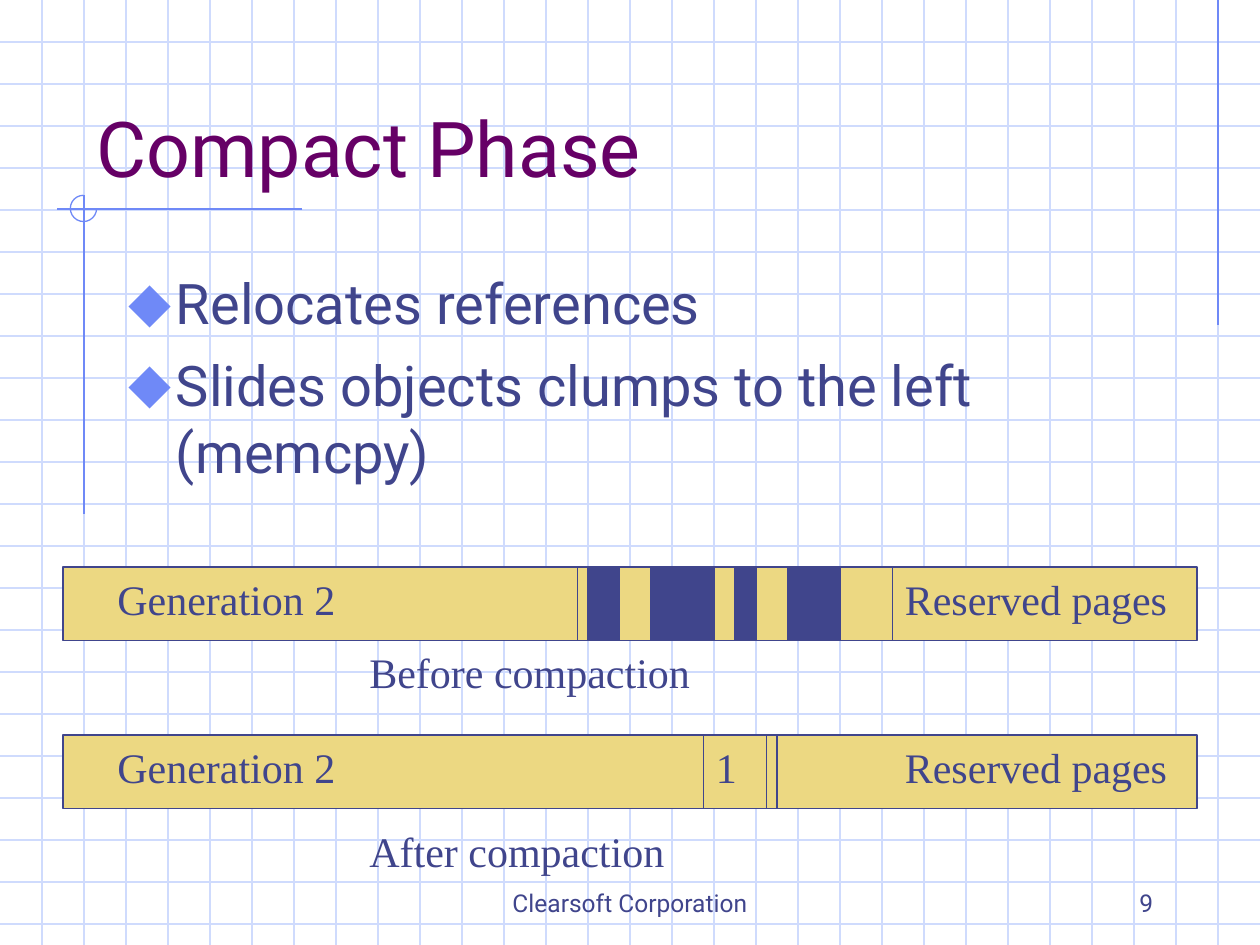
from lxml import etree
from pptx import Presentation, util as u
from pptx.dml.color import RGBColor
from pptx.enum import shapes, text
from pptx.oxml.ns import qn

PALE = RGBColor(0xCF, 0xDB, 0xFD)
BLUE = RGBColor(0x6F, 0x89, 0xF7)
NAVY = RGBColor(0x40, 0x45, 0x8C)
PLUM = RGBColor(0x66, 0x00, 0x66)
SAND = RGBColor(0xEC, 0xD8, 0x82)
SANS, SERIF = "Roboto", "Times New Roman"

COLS, ROWS, GRID_STEP = 120, 90, 4
CELL = u.Inches(10) // COLS

TITLE = "Compact Phase"
POINTS = ["Relocates references", "Slides objects clumps to the left (memcpy)"]
ACCENTS = [(116, 0, 116, 31), (28.8, 19.9, 5.4, 19.9), (8, 18.6, 8, 49)]
BAR_LEFT, BAR_WIDTH, BAR_HEIGHT = 6, 108, 7
LABEL_HEIGHT = 6
HEAPS = [
    {
        "top": 54,
        "dividers": [55, 85],
        "live": [(56, 3), (62, 6), (70, 2), (75, 5)],
        "labels": [("Generation 2", 10, 31), ("Reserved pages", 85, 29)],
        "caption": ("Before compaction", 61),
    },
    {
        "top": 70,
        "dividers": [67, 73, 74],
        "live": [],
        "labels": [("Generation 2", 10, 31), ("Reserved pages", 85, 29), ("1", 67, 6)],
        "caption": ("After compaction", 78),
    },
]
FOOTER = [
    ("Clearsoft Corporation", 41, 38, text.PP_ALIGN.CENTER),
    ("9", 86, 25, text.PP_ALIGN.RIGHT),
]


def cells(*counts):
    return [round(count * CELL) for count in counts]


def add_line(slide, ends, color, width=0.75):
    line = slide.shapes.add_connector(shapes.MSO_CONNECTOR.STRAIGHT, *cells(*ends))
    line.line.color.rgb = color
    line.line.width = u.Pt(width)
    etree.SubElement(line._element.spPr, qn("a:effectLst"))


def add_block(slide, left, top, width, fill):
    block = slide.shapes.add_shape(
        shapes.MSO_SHAPE.RECTANGLE, *cells(left, top, width, BAR_HEIGHT))
    block.shadow.inherit = False
    block.fill.solid()
    block.fill.fore_color.rgb = fill
    block.line.color.rgb = NAVY
    block.line.width = u.Pt(1)


def write(paragraph, words, font, size, color, align=text.PP_ALIGN.LEFT):
    paragraph.alignment = align
    run = paragraph.add_run()
    run.text = words
    run.font.name = font
    run.font.size = u.Pt(size)
    run.font.color.rgb = color


def add_label(slide, words, left, top, width, font=SERIF, size=24,
              align=text.PP_ALIGN.LEFT, anchor=text.MSO_ANCHOR.TOP):
    frame = slide.shapes.add_textbox(*cells(left, top, width, LABEL_HEIGHT)).text_frame
    frame.word_wrap = True
    frame.vertical_anchor = anchor
    write(frame.paragraphs[0], words, font, size, NAVY, align)


def place(slide, holder, box, anchor):
    holder.left, holder.top, holder.width, holder.height = cells(*box)
    holder.text_frame.auto_size = text.MSO_AUTO_SIZE.NONE
    holder.text_frame.vertical_anchor = anchor
    slide.shapes.element.append(holder.element)
    return holder.text_frame


def add_diamond(paragraph):
    props = paragraph._p.get_or_add_pPr()
    props.set("marL", str(u.Inches(0.38)))
    props.set("indent", str(-u.Inches(0.38)))
    color = etree.SubElement(props, qn("a:buClr"))
    etree.SubElement(color, qn("a:srgbClr"), val=str(BLUE))
    etree.SubElement(props, qn("a:buSzPct"), val="110000")
    etree.SubElement(props, qn("a:buFont"), typeface=SANS)
    etree.SubElement(props, qn("a:buChar"), char="⬥")


def draw_background(slide):
    for row in range(GRID_STEP, ROWS, GRID_STEP):
        add_line(slide, (0, row, COLS, row), PALE)
    for col in range(GRID_STEP, COLS, GRID_STEP):
        add_line(slide, (col, 0, col, ROWS), PALE)
    for ends in ACCENTS:
        add_line(slide, ends, BLUE)
    ring = slide.shapes.add_shape(shapes.MSO_SHAPE.ARC, *cells(6.7, 18.6, 2.5, 2.5))
    ring.shadow.inherit = False
    ring.adjustments[0], ring.adjustments[1] = 0, 162
    ring.fill.background()
    ring.line.color.rgb = BLUE
    ring.line.width = u.Pt(0.75)


def draw_heap(slide, heap):
    top = heap["top"]
    add_block(slide, BAR_LEFT, top, BAR_WIDTH, SAND)
    for col in heap["dividers"]:
        add_line(slide, (col, top, col, top + BAR_HEIGHT), NAVY, 1)
    for left, width in heap["live"]:
        add_block(slide, left, top, width, NAVY)
    for words, left, width in heap["labels"]:
        add_label(slide, words, left, top, width)
    caption, caption_top = heap["caption"]
    add_label(slide, caption, 34, caption_top, 43)


def main():
    deck = Presentation()
    deck.slide_width, deck.slide_height = cells(COLS, ROWS)
    slide = deck.slides.add_slide(deck.slide_layouts[1])
    draw_background(slide)

    title = place(slide, slide.shapes.title, (8, 4, 102, 15), text.MSO_ANCHOR.BOTTOM)
    write(title.paragraphs[0], TITLE, SANS, 44, PLUM)

    body = place(slide, slide.placeholders[1], (11, 25, 102, 54), text.MSO_ANCHOR.TOP)
    for index, point in enumerate(POINTS):
        paragraph = body.add_paragraph() if index else body.paragraphs[0]
        paragraph.space_before = u.Pt(8 if index else 0)
        add_diamond(paragraph)
        write(paragraph, point, SANS, 32, NAVY)

    for heap in HEAPS:
        draw_heap(slide, heap)
    for words, left, width, align in FOOTER:
        add_label(slide, words, left, 82, width, SANS, 14, align, text.MSO_ANCHOR.BOTTOM)
    deck.save("out.pptx")


if __name__ == "__main__":
    main()
